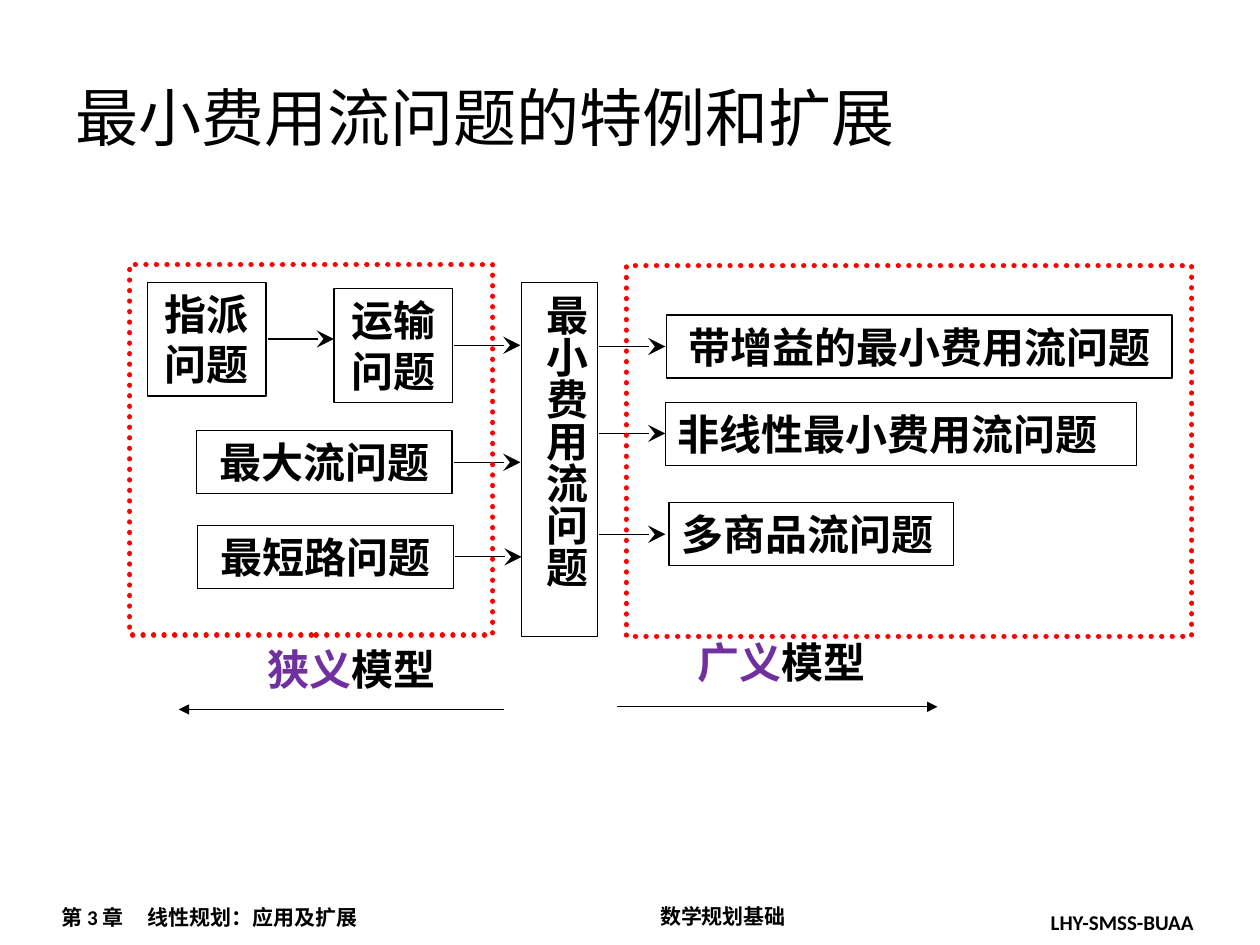
from lxml.etree import SubElement
from pptx import Presentation
from pptx.dml.color import RGBColor
from pptx.enum.dml import MSO_LINE
from pptx.enum.shapes import MSO_CONNECTOR, MSO_SHAPE
from pptx.enum.text import MSO_ANCHOR, PP_ALIGN
from pptx.oxml.ns import qn
from pptx.util import Pt

COLORS = {"ink": "000000", "accent": "7030A0", "frame": "FF0000"}
LEFT, CENTER = PP_ALIGN.LEFT, PP_ALIGN.CENTER
SERIF, SANS = "Times New Roman", "Calibri"


def write(frame, runs, size=24, bold=True, align=CENTER, anchor=MSO_ANCHOR.TOP):
    frame.word_wrap = True
    frame.vertical_anchor = anchor
    paragraph = frame.paragraphs[0]
    paragraph.alignment = align
    for wording, color, face in runs:
        run = paragraph.add_run()
        run.text = wording
        run.font.size = Pt(size)
        run.font.bold = bold
        run.font.name = face
        run.font.color.rgb = RGBColor.from_string(COLORS[color])


def arrow(slide, start, end, y, head, size):
    line = slide.shapes.add_connector(
        MSO_CONNECTOR.STRAIGHT, Pt(start), Pt(y), Pt(end), Pt(y))
    line.line.width = Pt(0.75)
    line.line.color.rgb = RGBColor.from_string(COLORS["ink"])
    SubElement(line.line._get_or_add_ln(), qn("a:tailEnd"), type=head, w=size, len=size)
    SubElement(line._element.spPr, qn("a:effectLst"))


deck = Presentation()
deck.slide_width, deck.slide_height = Pt(720), Pt(540)
slide = deck.slides.add_slide(deck.slide_layouts[5])

title = slide.shapes.title
title.left, title.top, title.width, title.height = Pt(36), Pt(21.6), Pt(648), Pt(90)
write(title.text_frame, [("最小费用流问题的特例和扩展", "ink", SANS)],
      36, False, LEFT, MSO_ANCHOR.MIDDLE)

footers = [
    (28, 513.4, 205.2, [("第 3 章\t线性规划：应用及", "ink", SANS), ("扩展", "ink", SERIF)]),
    (593.3, 516.2, 123.8, [("LHY-SMSS-BUAA", "ink", SANS)]),
    (370.1, 512.6, 159.8, [("数学规划基础", "ink", SANS)]),
]
for left, top, width, runs in footers:
    footer = slide.shapes.add_textbox(Pt(left), Pt(top), Pt(width), Pt(21.6))
    tabs = SubElement(footer.text_frame.paragraphs[0]._p.get_or_add_pPr(), qn("a:tabLst"))
    SubElement(tabs, qn("a:tab"), pos=str(Pt(49)), algn="l")
    write(footer.text_frame, runs, 12, align=LEFT)

problems = [
    ("最小费用流问题", 298.1, 161.3, 43.2, 202.3, CENTER),
    ("运输问题", 190.8, 164.9, 67.9, 65, CENTER),
    ("指派问题", 84.2, 161.3, 67.9, 65, CENTER),
    ("最大流问题", 112.2, 246.2, 146.2, 36, CENTER),
    ("最短路问题", 113, 300.2, 146.2, 36, CENTER),
    ("带增益的最小费用流问题", 381, 180, 288.7, 36, CENTER),
    ("非线性最小费用流问题", 380.2, 230, 269.3, 36, LEFT),
    ("多商品流问题", 382.3, 287.3, 162.7, 36, LEFT),
]
for wording, left, top, width, height, align in problems:
    problem = slide.shapes.add_shape(
        MSO_SHAPE.RECTANGLE, Pt(left), Pt(top), Pt(width), Pt(height))
    problem.shadow.inherit = False
    problem.fill.background()
    problem.line.width = Pt(0.75)
    problem.line.color.rgb = RGBColor.from_string(COLORS["ink"])
    write(problem.text_frame, [(wording, "ink", SERIF)], align=align)
    if height > width * 2:
        column = problem.text_frame
        column.margin_left = column.margin_right = Pt(3.6)
        column.margin_top = column.margin_bottom = Pt(7.2)
        column._txBody.bodyPr.set("vert", "eaVert")

links = [
    (153.4, 190.8, 193.7), (259.2, 297.4, 197.3), (259.2, 297.4, 264.2),
    (260, 298.1, 318.2), (342, 380.2, 198), (342, 380.2, 247.7), (342, 380.2, 305.3),
]
for start, end, y in links:
    arrow(slide, start, end, y, "stealth", "lg")

models = [
    ("狭义", 135.4, 364.3, (74.2, 151.2, 207.4), (288, 102.2, 405.4)),
    ("广义", 380.9, 360, (357.8, 151.9, 323.3), (352.8, 535.7, 403.9)),
]
for scope, left, top, (frame_left, frame_top, frame_width), direction in models:
    arrow(slide, *direction, "triangle", "med")
    label = slide.shapes.add_textbox(Pt(left), Pt(top), Pt(131), Pt(36))
    write(label.text_frame, [(scope, "accent", SERIF), ("模型", "ink", SERIF)])
    border = slide.shapes.add_shape(
        MSO_SHAPE.RECTANGLE, Pt(frame_left), Pt(frame_top), Pt(frame_width), Pt(211.7))
    border.shadow.inherit = False
    border.fill.background()
    border.line.width = Pt(3)
    border.line.color.rgb = RGBColor.from_string(COLORS["frame"])
    border.line.dash_style = MSO_LINE.ROUND_DOT
    border.line._get_or_add_ln().set("cap", "rnd")

deck.save("out.pptx")
